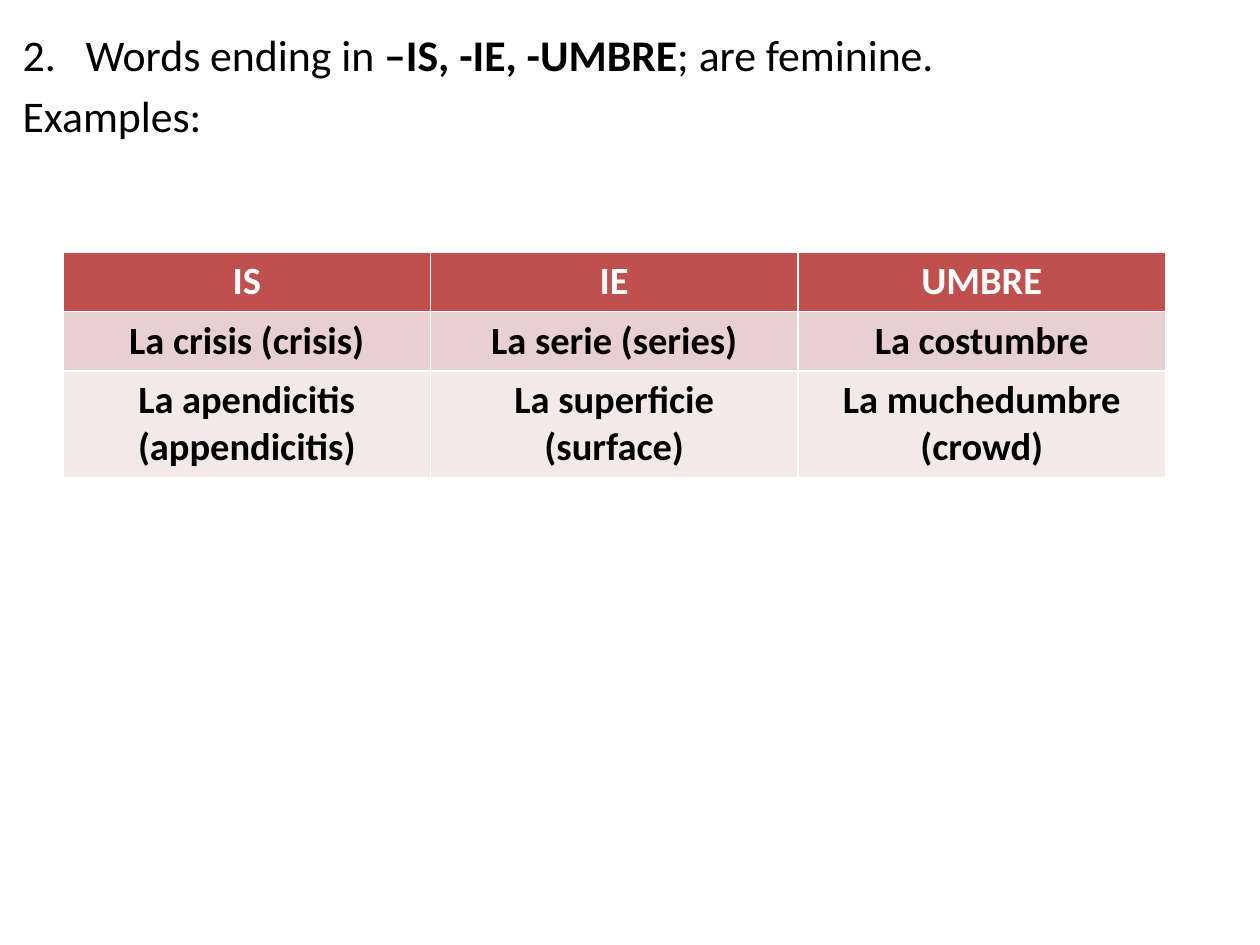
from lxml import etree
from pptx import Presentation
from pptx.dml.color import RGBColor
from pptx.enum.text import MSO_AUTO_SIZE, PP_ALIGN
from pptx.oxml.ns import qn
from pptx.util import Inches, Pt

CENTER = PP_ALIGN.CENTER
NO_AUTOFIT = MSO_AUTO_SIZE.NONE


def color(hex_string):
    return RGBColor.from_string(hex_string)


def add_text(paragraph, text, size, bold=False, text_color="000000"):
    run = paragraph.add_run()
    run.text = text
    run.font.name = "Calibri"
    run.font.size = Pt(size)
    run.font.bold = bold
    run.font.color.rgb = color(text_color)


presentation = Presentation()
presentation.slide_width = Inches(10)
presentation.slide_height = Inches(7.5)
slide = presentation.slides.add_slide(presentation.slide_layouts[1])
title = slide.shapes.title
title.element.getparent().remove(title.element)

# Rule and examples heading
body = slide.placeholders[1]
body.left, body.top = Inches(0.08), Inches(0.17)
body.width, body.height = Inches(9.75), Inches(7.17)
text_frame = body.text_frame
text_frame.auto_size = NO_AUTOFIT

rule = text_frame.paragraphs[0]
rule.space_before = Pt(0)
properties = rule._p.get_or_add_pPr()
properties.set("marL", str(Inches(0.5)))
properties.set("indent", str(Inches(-0.5)))
etree.SubElement(properties, qn("a:buFont"), typeface="Calibri")
etree.SubElement(properties, qn("a:buAutoNum"), type="arabicPeriod", startAt="2")
add_text(rule, "Words ending in ", 25)
add_text(rule, "–IS, -IE, -UMBRE", 25, bold=True)
add_text(rule, "; are feminine.", 25)

examples = text_frame.add_paragraph()
examples.space_before = Pt(5)
properties = examples._p.get_or_add_pPr()
properties.set("marL", "0")
properties.set("indent", "0")
etree.SubElement(properties, qn("a:buNone"))
add_text(examples, "Examples:", 25)

# Table of endings; its white borders come from the default table style
rows = [
    ("IS", "IE", "UMBRE"),
    ("La crisis (crisis)", "La serie (series)", "La costumbre"),
    ("La apendicitis (appendicitis)", "La superficie (surface)",
     "La muchedumbre (crowd)"),
]
row_formats = [(0.47, "C0504D", "FFFFFF"), (0.47, "E8D0D0", "000000"),
               (0.83, "F4E9E9", "000000")]
table = slide.shapes.add_table(
    len(rows), 3, Inches(0.5), Inches(2), Inches(8.75), Inches(1.77)).table

for row, texts, (height, fill, text_color) in zip(table.rows, rows, row_formats):
    row.height = Inches(height)
    for cell, text in zip(row.cells, texts):
        cell.fill.solid()
        cell.fill.fore_color.rgb = color(fill)
        paragraph = cell.text_frame.paragraphs[0]
        paragraph.alignment = CENTER
        add_text(paragraph, text, 22, bold=True, text_color=text_color)

presentation.save("out.pptx")
